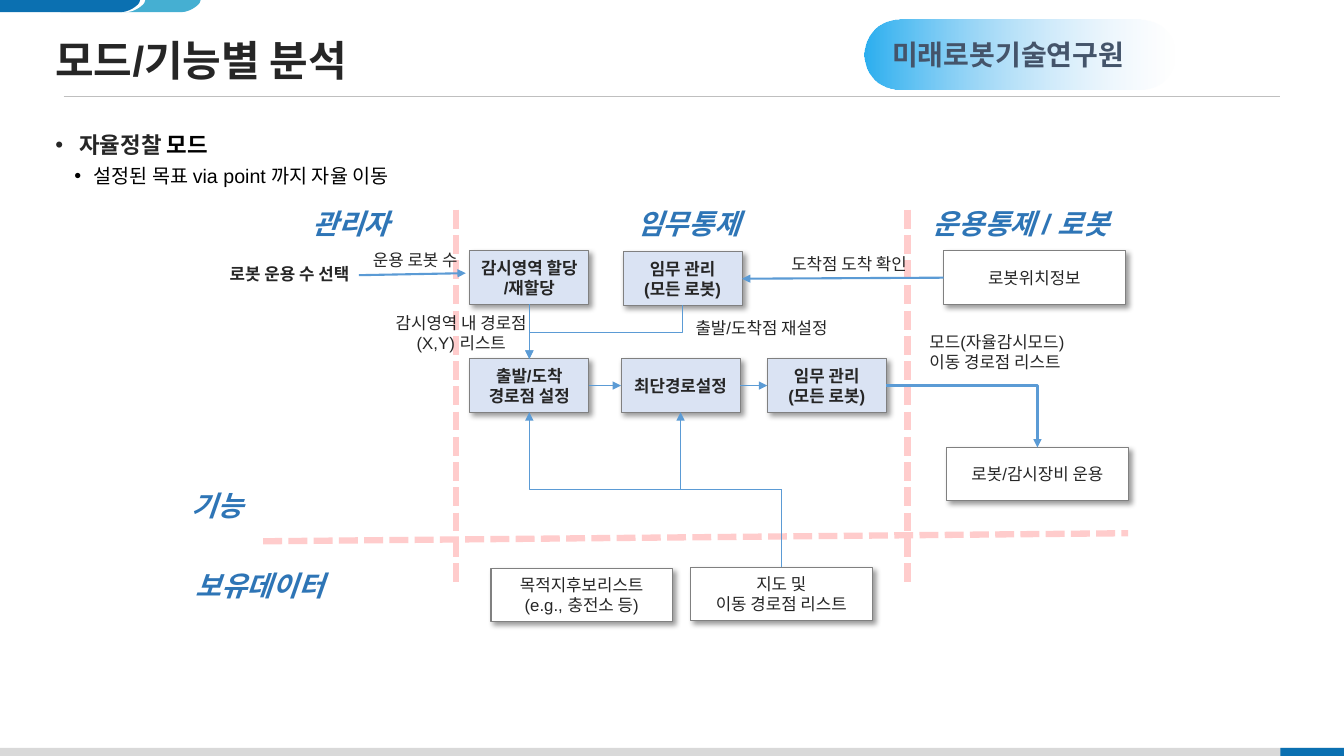
from dataclasses import dataclass

from lxml import etree
from pptx import Presentation
from pptx.dml.color import RGBColor
from pptx.enum.dml import MSO_LINE
from pptx.enum.shapes import MSO_CONNECTOR, MSO_SHAPE
from pptx.enum.text import MSO_ANCHOR, PP_ALIGN
from pptx.oxml.ns import qn
from pptx.util import Inches, Pt

WHITE = RGBColor(0xFF, 0xFF, 0xFF)
BLACK = RGBColor(0x00, 0x00, 0x00)
INK = RGBColor(0x26, 0x26, 0x26)
SLATE = RGBColor(0x44, 0x54, 0x6A)
GRAY = RGBColor(0x80, 0x80, 0x80)
RULE = RGBColor(0xBF, 0xBF, 0xBF)
FOOTER = RGBColor(0xD9, 0xD9, 0xD9)
BRAND = RGBColor(0x0B, 0x70, 0xB1)
TEAL = RGBColor(0x45, 0xAF, 0xD2)
SKY = RGBColor(0x2C, 0xAF, 0xF0)
PALE_SKY = RGBColor(0xCA, 0xE2, 0xF9)
HEADING = RGBColor(0x2E, 0x75, 0xB6)
ARROW = RGBColor(0x5B, 0x9B, 0xD5)
PINK = RGBColor(0xFF, 0xCC, 0xCC)
PALE_BLUE = RGBColor(0xDA, 0xE3, 0xF3)
STRAIGHT, ELBOW = MSO_CONNECTOR.STRAIGHT, MSO_CONNECTOR.ELBOW
RECTANGLE, ROUNDED = MSO_SHAPE.RECTANGLE, MSO_SHAPE.ROUNDED_RECTANGLE
DASH = MSO_LINE.SQUARE_DOT
LEFT, CENTER = PP_ALIGN.LEFT, PP_ALIGN.CENTER
TOP_ANCHOR, MIDDLE = MSO_ANCHOR.TOP, MSO_ANCHOR.MIDDLE
TOP, LEFT_SIDE, BOTTOM, RIGHT_SIDE = range(4)


@dataclass
class Region:
    """A box on the slide whose parts are placed from its top left corner."""
    slide: object
    left: float
    top: float
    width: float
    height: float

    def place(self, x, y):
        """Return a point of the region as slide lengths."""
        return Inches(self.left + x), Inches(self.top + y)


def add_xml(parent, tag, **attributes):
    """Append one drawing element and return it."""
    return etree.SubElement(parent, qn(tag), attributes)


def write(shape, lines, size=12, color=INK, bold=False, italic=False,
          align=LEFT, anchor=TOP_ANCHOR, wrap=True, spacing=None):
    """Fill a shape with one paragraph for each line."""
    frame = shape.text_frame
    frame.word_wrap, frame.vertical_anchor = wrap, anchor
    for index, line in enumerate(lines.split("\n")):
        paragraph = frame.add_paragraph() if index else frame.paragraphs[0]
        paragraph.alignment, paragraph.line_spacing = align, spacing
        add_run(paragraph, line, size, color, bold, italic)


def add_run(paragraph, text, size, color, bold=False, italic=False):
    """Append one formatted run."""
    run = paragraph.add_run()
    run.text = text
    font = run.font
    font.name, font.size, font.bold, font.italic = "Arial", Pt(size), bold, italic
    font.color.rgb = color


def add_label(region, text, x, y, width, height=0.5, **style):
    """Place a text box."""
    label = region.slide.shapes.add_textbox(
        *region.place(x, y), Inches(width), Inches(height))
    write(label, text, **style)


def add_block(region, kind, x, y, width, height, fill=None):
    """Place a plain shape without outline or shadow."""
    shape = region.slide.shapes.add_shape(
        kind, *region.place(x, y), Inches(width), Inches(height))
    shape.shadow.inherit = False
    shape.line.fill.background()
    if fill is not None:
        shape.fill.solid()
        shape.fill.fore_color.rgb = fill
    return shape


def add_step(region, text, x, y, width=1.18, fill=PALE_BLUE, bold=True):
    """Place a shadowed box of the flow."""
    step = add_block(region, ROUNDED, x, y, width, 0.53, fill)
    step.adjustments[0] = 0
    step.line.color.rgb, step.line.width = GRAY, Pt(0.75)
    effects = step.element.spPr.find(qn("a:effectLst"))
    shadow = add_xml(effects, "a:outerShdw", blurRad=str(Pt(4)), dist=str(Pt(3)),
                     dir="2700000", algn="tl", rotWithShape="0")
    add_xml(add_xml(shadow, "a:srgbClr", val="000000"), "a:alpha", val="40000")
    write(step, text, bold=bold, align=CENTER, anchor=MIDDLE)
    return step


def add_line(region, start=(0, 0), end=(0, 0), color=ARROW, width=0.5,
             dash=None, head=False, kind=STRAIGHT):
    """Draw a connector between two points of the region."""
    line = region.slide.shapes.add_connector(
        kind, *region.place(*start), *region.place(*end))
    line.line.color.rgb, line.line.width = color, Pt(width)
    if dash:
        line.line.dash_style = dash
    if head:
        add_xml(line.line._get_or_add_ln(), "a:tailEnd", type="triangle")
    add_xml(line.element.spPr, "a:effectLst")
    return line


def link(region, source, source_side, target, target_side, width=0.5, kind=STRAIGHT):
    """Join two boxes with an arrow."""
    arrow = add_line(region, width=width, head=True, kind=kind)
    arrow.begin_connect(source, source_side)
    arrow.end_connect(target, target_side)
    return arrow


def link_vertically(region, source, source_side, target, target_side):
    """Join two boxes with an elbow that leaves and arrives vertically."""
    arrow = link(region, source, source_side, target, target_side, kind=ELBOW)
    down = arrow.end_y > arrow.begin_y
    across, rise = arrow.width, arrow.height
    center_x, center_y = arrow.left + across // 2, arrow.top + rise // 2
    arrow.left, arrow.top = center_x - rise // 2, center_y - across // 2
    arrow.width, arrow.height = rise, across
    transform = arrow.element.spPr.find(qn("a:xfrm"))
    transform.set("rot", "5400000" if down else "16200000")
    transform.set("flipH", "0")
    transform.set("flipV", "0" if down else "1")


def draw_tab(region, x, fill):
    """Draw a tab with a rounded lower right corner."""
    corner = ((1.2, 0.12), (1.26, 0.12), (1.34, 0.08), (1.38, 0.03))
    points = [(0, 0.12)]
    for step in range(9):
        t = step / 8
        weights = ((1 - t) ** 3, 3 * t * (1 - t) ** 2, 3 * t * t * (1 - t), t ** 3)
        points.append(tuple(sum(weight * point[axis] for weight, point
                                in zip(weights, corner)) for axis in (0, 1)))
    points += [(1.39, 0), (0, 0)]
    placed = [region.place(x + px, py) for px, py in points]
    builder = region.slide.shapes.build_freeform(*placed[0])
    builder.add_line_segments(placed[1:])
    tab = builder.convert_to_shape()
    tab.shadow.inherit = False
    tab.fill.solid()
    tab.fill.fore_color.rgb = fill
    tab.line.fill.background()


def draw_frame(region):
    """Draw the corner tabs and the bottom bars."""
    bar_top = region.height - 0.08
    add_block(region, RECTANGLE, 0, bar_top, region.width, 0.08, FOOTER)
    add_block(region, RECTANGLE, region.width - 0.63, bar_top, 0.63, 0.08, BRAND)
    for x, fill in ((0.6, TEAL), (0.05, WHITE), (0, BRAND)):
        draw_tab(region, x, fill)


def draw_header(region):
    """Draw the title, its rule and the institute badge."""
    add_line(region, (0.18, 0.68), (region.width, 0.68), RULE)
    add_label(region, "모드/기능별 분석", 0, 0, region.width, region.height,
              size=30, bold=True, anchor=MIDDLE, spacing=0.9)
    badge = add_block(region, ROUNDED, 8.12, -0.09, 3.09, 0.7)
    badge.adjustments[0] = 0.5
    badge.fill.gradient()
    badge.fill.gradient_angle = 0
    for stop, color, position in zip(badge.fill.gradient_stops, (SKY, PALE_SKY), (0, 1)):
        stop.color.rgb, stop.position = color, position
    last_color = badge.element.spPr.findall(".//" + qn("a:srgbClr"))[-1]
    add_xml(last_color, "a:alpha", val="0")
    add_label(region, "미래로봇기술연구원", 8.3, 0.04, 2.73, 0.44,
              size=20, color=SLATE, bold=True, wrap=False)


def draw_bullets(region):
    """Write the two levels of bullets."""
    frame = region.slide.shapes.add_textbox(
        *region.place(0, 0), Inches(region.width), Inches(region.height)).text_frame
    frame.word_wrap = True
    mode, goal = frame.paragraphs[0], frame.add_paragraph()
    for paragraph, margin, hanging in ((mode, 0.24, 0.24), (goal, 0.38, 0.19)):
        properties = paragraph._p.get_or_add_pPr()
        properties.set("marL", str(Inches(margin)))
        properties.set("indent", str(-Inches(hanging)))
        add_xml(properties, "a:buFont", typeface="Arial")
        add_xml(properties, "a:buChar", char="•")
    mode.line_spacing, goal.line_spacing = 1.3, 0.9
    goal.level, goal.space_before = 1, Pt(6)
    add_run(mode, "자율정찰", 16, INK, bold=True)
    add_run(mode, " 모드", 16, BLACK, bold=True)
    add_run(goal, "설정된 목표 via point 까지 자율 이동", 14, BLACK)


def draw_flow(region):
    """Draw the lanes, boxes, arrows and labels of the flow."""
    for start, end in (((7.2, 0.08), (7.2, 3.83)), ((2.72, 0.08), (2.72, 3.83)),
                       ((0.81, 3.37), (9.39, 3.29))):
        add_line(region, start, end, PINK, 4.5, DASH)
    for text, x, y, width in (
            ("관리자", 1.2, 0, 1.16), ("임무통제", 4.42, 0, 1.53),
            ("운용통제 / 로봇", 7.35, 0, 2.33), ("기능", 0, 2.8, 1.16),
            ("보유데이터", 0.04, 3.59, 1.5)):
        add_label(region, text, x, y, width, 0.44,
                  size=20, color=HEADING, bold=True, italic=True)

    plain = {"width": 1.8, "fill": WHITE, "bold": False}
    add_step(region, "목적지후보리스트\n(e.g., 충전소 등)", 3.07, 3.64, **plain)
    map_data = add_step(region, "지도 및\n이동 경로점 리스트", 5.05, 3.63, **plain)
    position = add_step(region, "로봇위치정보", 7.56, 0.49, **plain)
    operation = add_step(region, "로봇/감시장비 운용", 7.59, 2.44, **plain)
    assignment = add_step(region, "감시영역 할당\n/재할당", 2.86, 0.49)
    mission = add_step(region, "임무 관리\n(모든 로봇)", 4.38, 0.5)
    endpoints = add_step(region, "출발/도착 경로점 설정", 2.86, 1.56)
    shortest = add_step(region, "최단경로설정", 4.36, 1.56)
    dispatch = add_step(region, "임무 관리\n(모든 로봇)", 5.81, 1.56)

    link(region, endpoints, RIGHT_SIDE, shortest, LEFT_SIDE)
    link(region, shortest, RIGHT_SIDE, dispatch, LEFT_SIDE)
    link(region, assignment, BOTTOM, endpoints, TOP)
    link(region, position, LEFT_SIDE, mission, RIGHT_SIDE, width=1.5)
    add_line(region, (1.76, 0.73), (2.82, 0.71), width=1.5, head=True)
    link_vertically(region, map_data, TOP, shortest, BOTTOM)
    link_vertically(region, map_data, TOP, endpoints, BOTTOM)
    link_vertically(region, mission, BOTTOM, endpoints, TOP)
    order = link(region, dispatch, RIGHT_SIDE, operation, TOP, width=1.5, kind=ELBOW)
    order.element.spPr.find(qn("a:prstGeom")).set("prst", "bentConnector2")

    add_label(region, "로봇 운용 수 선택", 0.38, 0.57, 1.45, bold=True)
    add_label(region, "운용 로봇 수", 1.8, 0.43, 1.32, 0.3)
    add_label(region, "도착점 도착 확인", 5.95, 0.47, 1.47, 0.3)
    add_label(region, "출발/도착점 재설정", 5, 1.1, 1.61)
    add_label(region, "감시영역 내 경로점(X,Y) 리스트", 1.97, 1.05, 1.61, align=CENTER)
    add_label(region, "모드(자율감시모드)\n이동 경로점 리스트", 7.32, 1.24, 1.92)


def main():
    """Build the slide and save it."""
    presentation = Presentation()
    presentation.slide_width, presentation.slide_height = Inches(13.33), Inches(7.5)
    slide = presentation.slides.add_slide(presentation.slide_layouts[6])
    draw_frame(Region(slide, 0, 0, 13.33, 7.5))
    draw_header(Region(slide, 0.45, 0.28, 12.25, 0.68))
    draw_bullets(Region(slide, 0.45, 1.17, 12.64, 5.61))
    draw_flow(Region(slide, 1.8, 2, 9.4, 4.2))
    presentation.save("out.pptx")


if __name__ == "__main__":
    main()
